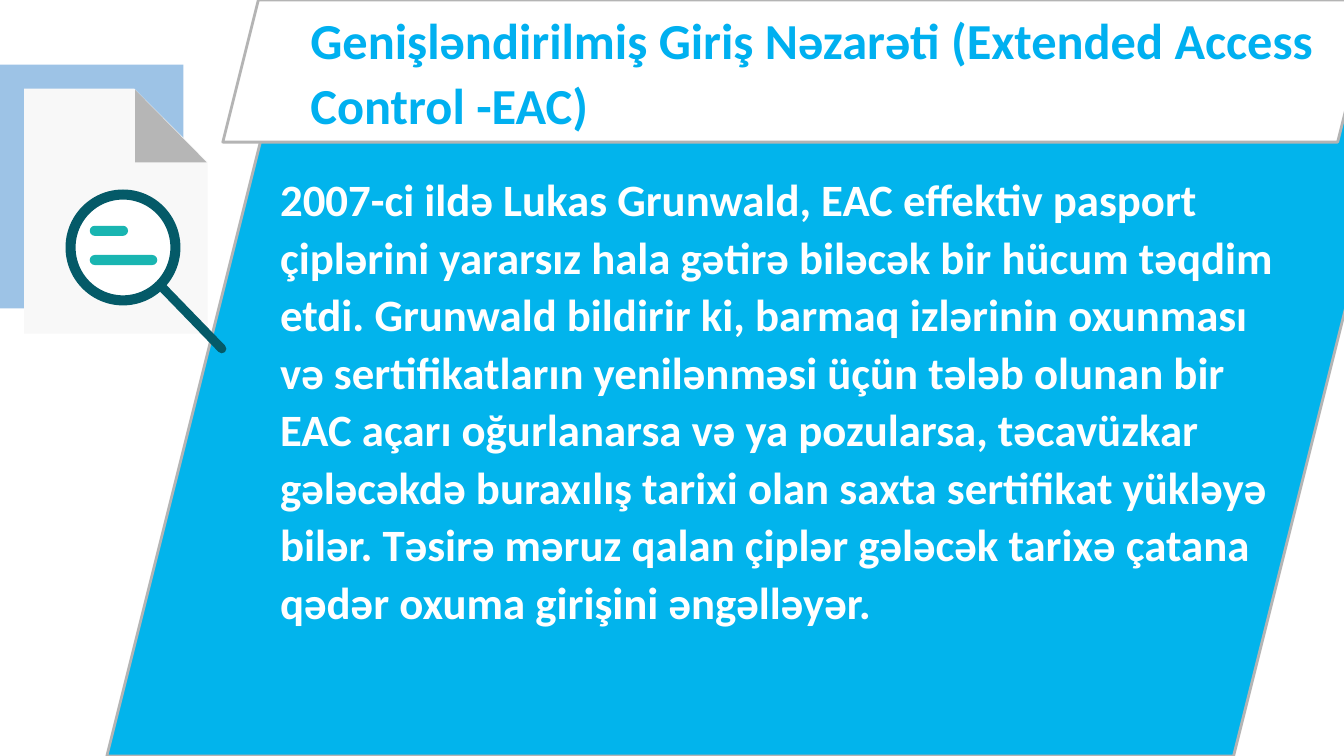
from dataclasses import dataclass

from lxml import etree
from pptx import Presentation
from pptx.dml.color import RGBColor
from pptx.enum.shapes import MSO_CONNECTOR, MSO_SHAPE
from pptx.enum.text import MSO_ANCHOR, MSO_AUTO_SIZE
from pptx.oxml.ns import qn
from pptx.util import Pt

EMU_PER_PX = 9144  # 100 px to the inch
PAGE_WIDTH, PAGE_HEIGHT = 1333, 750

PARALLELOGRAM = MSO_SHAPE.PARALLELOGRAM
RECTANGLE = MSO_SHAPE.RECTANGLE
SNIPPED = MSO_SHAPE.SNIP_1_RECTANGLE
TRIANGLE = MSO_SHAPE.RIGHT_TRIANGLE
OVAL = MSO_SHAPE.OVAL
ROUNDED = MSO_SHAPE.ROUNDED_RECTANGLE
STRAIGHT = MSO_CONNECTOR.STRAIGHT
TOP = MSO_ANCHOR.TOP
FIXED_SIZE = MSO_AUTO_SIZE.NONE

WHITE, BLUE, GREY = "FFFFFF", "02B4EC", "B4B4B4"
DARK_TEAL, TEAL = "045A68", "19B5B1"


@dataclass(frozen=True)
class Figure:
    kind: MSO_SHAPE
    at: tuple[int, int, int, int]
    fill: str
    line: str | None = None
    line_points: float = 0
    adjustment: float | None = None


@dataclass(frozen=True)
class Passage:
    at: tuple[int, int, int, int]
    text: str
    size: int
    color: str


PANELS = [
    Figure(PARALLELOGRAM, (106, 0, 1305, 750), BLUE, GREY, 2),
    Figure(PARALLELOGRAM, (221, 0, 1141, 141), WHITE, GREY, 2),
]

# Two sheets, the folded corner, the lens and the lines seen in it
DOCUMENT_ICON = [
    Figure(RECTANGLE, (0, 64, 182, 242), "9DC3E6"),
    Figure(SNIPPED, (24, 88, 182, 243), "F8F8F8", adjustment=0.4),
    Figure(TRIANGLE, (134, 89, 71, 72), "B6B6B6"),
    Figure(OVAL, (70, 193, 104, 105), WHITE, DARK_TEAL, 7.2),
    Figure(ROUNDED, (89, 224, 38, 10), TEAL, adjustment=0.5),
    Figure(ROUNDED, (89, 253, 67, 10), TEAL, adjustment=0.5),
]
HANDLE = (159, 283, 220, 346)

PASSAGES = [
    Passage(
        (298, 0, 1015, 140),
        "Genişləndirilmiş Giriş Nəzarəti (Extended Access Control -EAC)",
        36, "00B0F0",
    ),
    Passage(
        (268, 162, 1013, 540),
        "2007-ci ildə Lukas Grunwald, EAC effektiv pasport çiplərini yararsız "
        "hala gətirə biləcək bir hücum təqdim etdi. Grunwald bildirir ki, "
        "barmaq izlərinin oxunması və sertifikatların yenilənməsi üçün tələb "
        "olunan bir EAC açarı oğurlanarsa və ya pozularsa, təcavüzkar "
        "gələcəkdə buraxılış tarixi olan saxta sertifikat yükləyə bilər. "
        "Təsirə məruz qalan çiplər gələcək tarixə çatana qədər oxuma girişini "
        "əngəlləyər.",
        32, WHITE,
    ),
]


def px(*lengths: int) -> list[int]:
    return [length * EMU_PER_PX for length in lengths]


def rgb(value: str) -> RGBColor:
    return RGBColor.from_string(value)


def set_all(target: object, values: dict) -> None:
    for name, value in values.items():
        setattr(target, name, value)


def draw_figure(page, figure: Figure) -> None:
    shape = page.shapes.add_shape(figure.kind, *px(*figure.at))
    shape.shadow.inherit = False
    shape.fill.solid()
    shape.fill.fore_color.rgb = rgb(figure.fill)
    if figure.line:
        shape.line.color.rgb = rgb(figure.line)
        shape.line.width = Pt(figure.line_points)
    else:
        shape.line.fill.background()
    if figure.adjustment is not None:
        shape.adjustments[0] = figure.adjustment


def draw_handle(page) -> None:
    handle = page.shapes.add_connector(STRAIGHT, *px(*HANDLE))
    handle.line.color.rgb = rgb(DARK_TEAL)
    handle.line.width = Pt(6.5)
    properties = handle._element.spPr
    properties.find(qn("a:ln")).set("cap", "rnd")
    etree.SubElement(properties, qn("a:effectLst"))


def draw_passage(page, passage: Passage) -> None:
    box = page.shapes.add_textbox(*px(*passage.at))
    set_all(box.text_frame, {
        "word_wrap": True, "auto_size": FIXED_SIZE, "vertical_anchor": TOP,
    })
    para = box.text_frame.paragraphs[0]
    set_all(para, {"line_spacing": 1.07, "space_after": Pt(8)})
    span = para.add_run()
    span.text = passage.text
    set_all(span.font, {"name": "Calibri", "size": Pt(passage.size), "bold": True})
    span.font.color.rgb = rgb(passage.color)


def main() -> None:
    deck = Presentation()
    deck.slide_width, deck.slide_height = px(PAGE_WIDTH, PAGE_HEIGHT)
    page = deck.slides.add_slide(deck.slide_layouts[6])

    # Panels and icon
    for figure in PANELS + DOCUMENT_ICON:
        draw_figure(page, figure)
    draw_handle(page)

    # Title and body
    for passage in PASSAGES:
        draw_passage(page, passage)

    deck.save("out.pptx")


if __name__ == "__main__":
    main()
